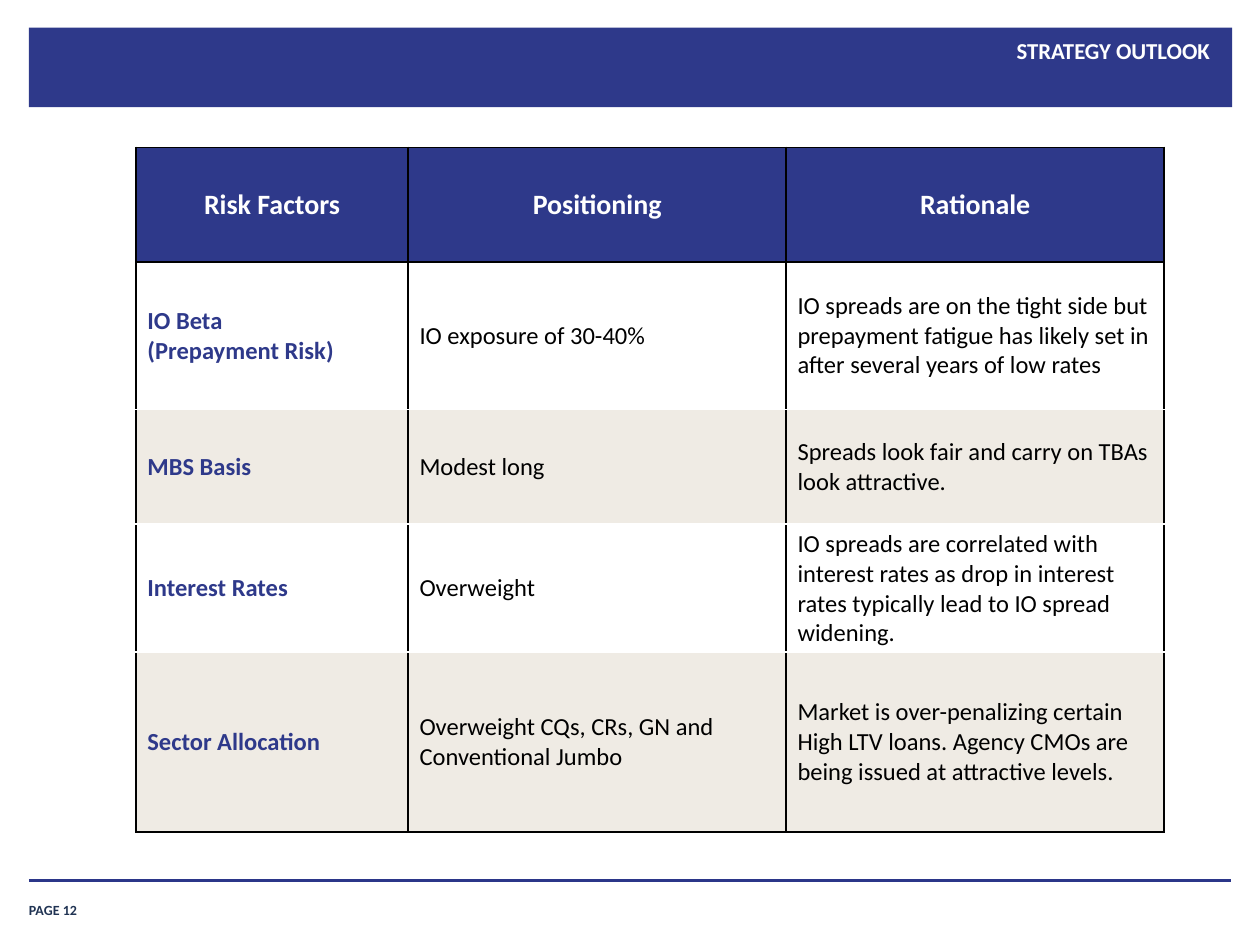
"""Build the strategy outlook slide with its risk factor table."""
from lxml.etree import SubElement
from pptx import Presentation
from pptx.dml.color import RGBColor
from pptx.enum.shapes import MSO_CONNECTOR as Connector, MSO_SHAPE as Shape
from pptx.enum.text import MSO_ANCHOR as Anchor, PP_ALIGN as Align
from pptx.oxml.ns import qn
from pptx.util import Inches, Pt

NAVY = RGBColor(0x2E, 0x39, 0x8A)
RULE_BLUE = RGBColor(0x2B, 0x36, 0x89)
PAGE_BLUE = RGBColor(0x20, 0x33, 0x53)
BEIGE = RGBColor(0xEF, 0xEB, 0xE4)
WHITE = RGBColor(0xFF, 0xFF, 0xFF)
BLACK = RGBColor(0, 0, 0)

TITLE = "STRATEGY OUTLOOK"
PAGE_LABEL = "PAGE 12"
ROWS = [
    ("Risk Factors", "Positioning", "Rationale"),
    ("IO Beta\n(Prepayment Risk)", "IO exposure of 30-40%",
     "IO spreads are on the tight side but prepayment fatigue has likely set in "
     "after several years of low rates"),
    ("MBS Basis", "Modest long",
     "Spreads look fair and carry on TBAs look attractive."),
    ("Interest Rates", "Overweight",
     "IO spreads are correlated with interest rates as drop in interest rates "
     "typically lead to IO spread widening."),
    ("Sector Allocation", "Overweight CQs, CRs, GN and Conventional Jumbo",
     "Market is over-penalizing certain High LTV loans. Agency CMOs are being "
     "issued at attractive levels."),
]
COLUMN_WIDTHS = (2.16, 3, 3)
ROW_HEIGHTS = (0.91, 1.17, 0.91, 0.91, 1.43)
SLIDE_WIDTH, SLIDE_HEIGHT, MARGIN = 10, 7.5, 0.23
TABLE_LEFT, TABLE_TOP = 1.08, 1.17


def write(frame, text, size, color, bold=False, align=Align.LEFT):
    for index, line in enumerate(text.split("\n")):
        para = frame.add_paragraph() if index else frame.paragraphs[0]
        para.alignment = align
        span = para.add_run()
        span.text = line
        font = span.font
        font.name, font.size, font.bold = "Calibri", Pt(size), bold
        font.color.rgb = color


def add_text(page, text, area, insets, anchor, **style):
    box = page.shapes.add_textbox(*map(Inches, area))
    frame = box.text_frame
    frame.word_wrap = True
    frame.vertical_anchor = anchor
    (frame.margin_left, frame.margin_top,
     frame.margin_right, frame.margin_bottom) = map(Inches, insets)
    write(frame, text, **style)


def add_border(cell, side, color):
    line = SubElement(cell._tc.get_or_add_tcPr(), qn(f"a:ln{side}"), w=str(Pt(1)))
    fill = SubElement(line, qn("a:solidFill"))
    SubElement(fill, qn("a:srgbClr"), val=str(color))


def add_risk_table(page):
    graphic = page.shapes.add_table(
        len(ROWS), len(COLUMN_WIDTHS), Inches(TABLE_LEFT), Inches(TABLE_TOP),
        Inches(sum(COLUMN_WIDTHS)), Inches(sum(ROW_HEIGHTS)))
    table = graphic.table
    table.horz_banding = False
    for column, width in zip(table.columns, COLUMN_WIDTHS):
        column.width = Inches(width)
    last = len(ROWS) - 1
    for r, texts in enumerate(ROWS):
        table.rows[r].height = Inches(ROW_HEIGHTS[r])
        top = BLACK if r <= 1 else WHITE
        bottom = BLACK if r in (0, last) else WHITE
        for c, text in enumerate(texts):
            cell = table.cell(r, c)
            for side, color in zip("LRTB", (BLACK, BLACK, top, bottom)):
                add_border(cell, side, color)
            cell.fill.solid()
            cell.vertical_anchor = Anchor.MIDDLE
            cell.margin_left = cell.margin_right = Inches(0.09)
            cell.margin_top = cell.margin_bottom = Inches(0.04)
            if r == 0:
                cell.fill.fore_color.rgb = NAVY
                write(cell.text_frame, text, 16, WHITE, bold=True, align=Align.CENTER)
            else:
                cell.fill.fore_color.rgb = WHITE if r % 2 else BEIGE
                write(cell.text_frame, text, 14, BLACK if c else NAVY, bold=c == 0)


def add_frame(page):
    banner = page.shapes.add_shape(
        Shape.RECTANGLE, *map(Inches, (MARGIN, 0.22, 9.55, 0.63)))
    banner.shadow.inherit = False
    banner.fill.solid()
    banner.fill.fore_color.rgb = NAVY
    banner.line.fill.background()
    add_text(page, PAGE_LABEL, (MARGIN, 7.08, 0.82, 0.21), (0, 0, 0, 0),
             Anchor.BOTTOM, size=8, color=PAGE_BLUE, bold=True)
    rule = page.shapes.add_connector(
        Connector.STRAIGHT,
        *map(Inches, (MARGIN, 6.99, SLIDE_WIDTH - MARGIN, 6.99)))
    rule.line.color.rgb = RULE_BLUE
    rule.line.width = Pt(2)
    SubElement(rule._element.spPr, qn("a:effectLst"))
    add_text(page, TITLE, (1.25, 0.24, 8.52, 0.59), (0.1, 0.05, 0.17, 0.05),
             Anchor.TOP, size=13, color=WHITE, bold=True, align=Align.RIGHT)


def main():
    deck = Presentation()
    deck.slide_width, deck.slide_height = Inches(SLIDE_WIDTH), Inches(SLIDE_HEIGHT)
    page = deck.slides.add_slide(deck.slide_layouts[6])
    add_frame(page)
    add_risk_table(page)
    deck.save("out.pptx")


if __name__ == "__main__":
    main()
